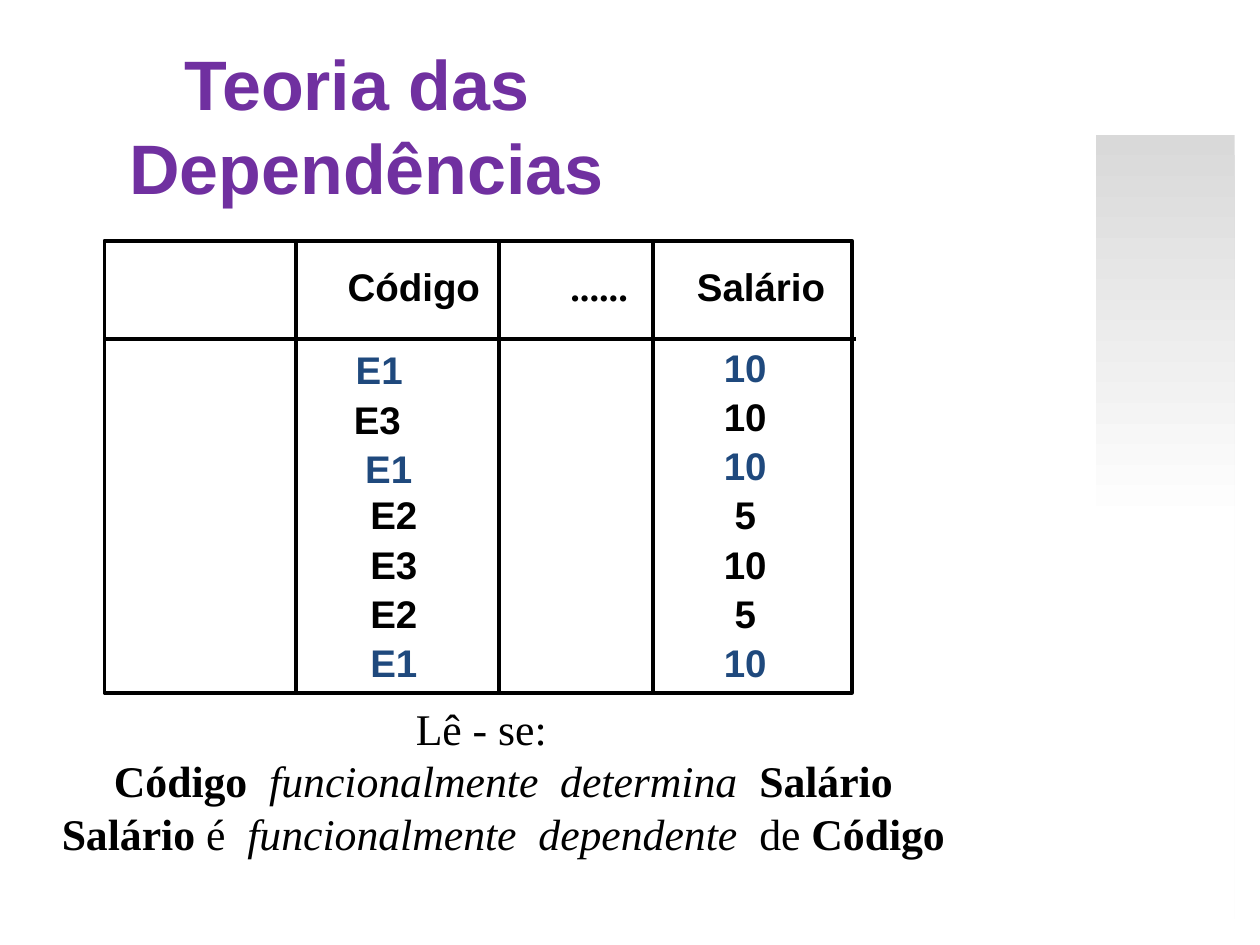
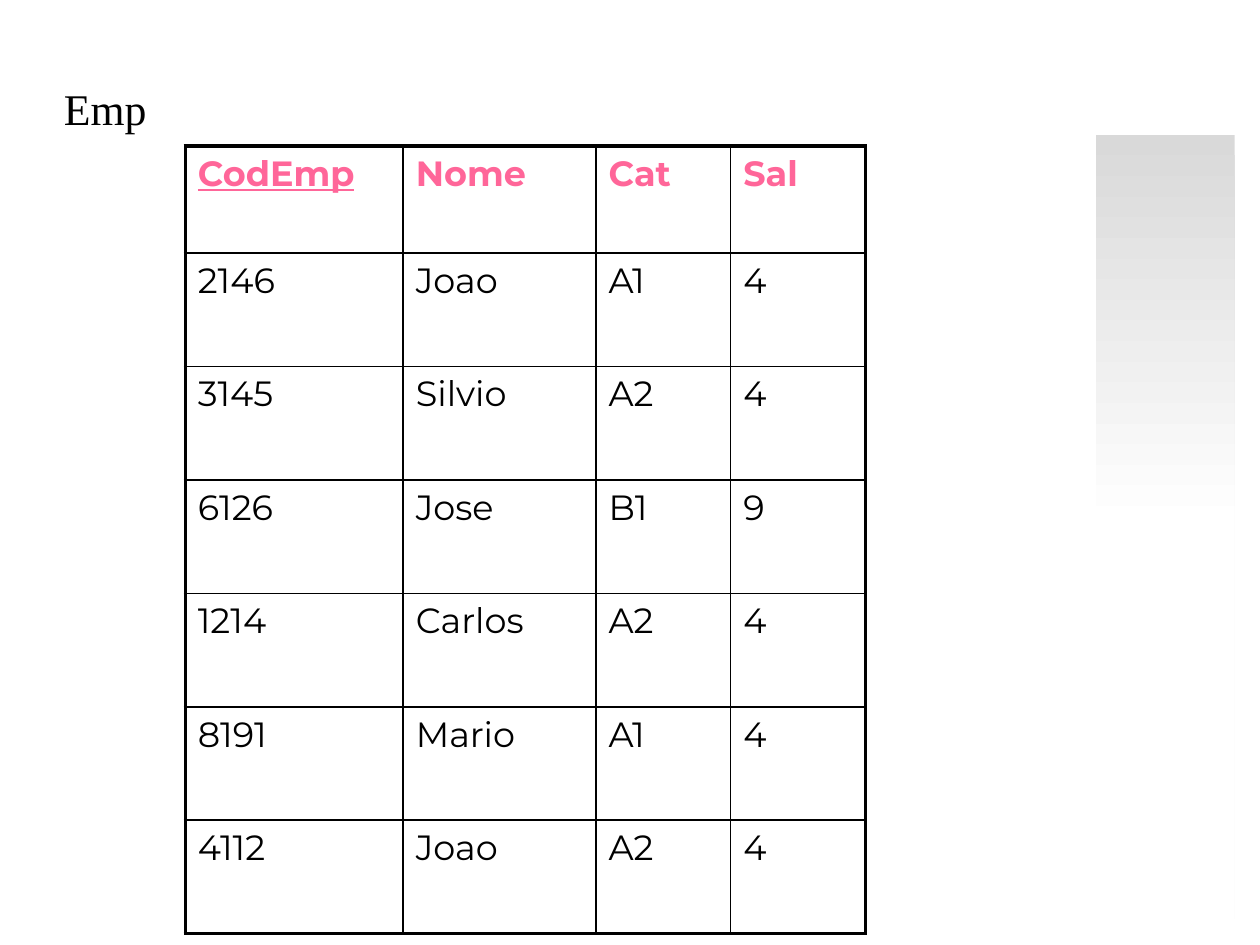
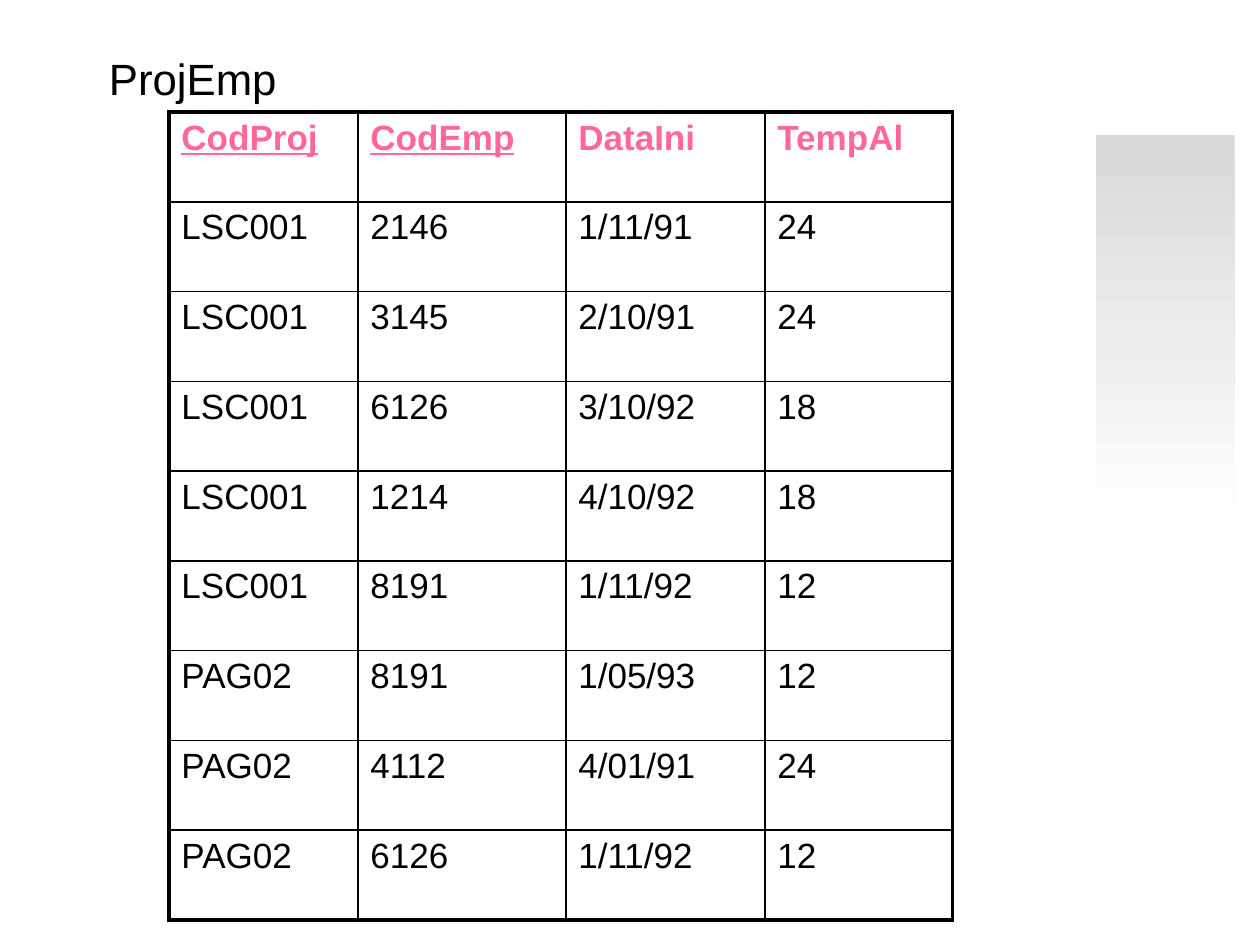
"""Builds three slides on functional dependencies and their example tables."""
import pptx
import pptx.dml.color
import pptx.enum.shapes
import pptx.enum.text
import pptx.oxml
import pptx.oxml.ns
import pptx.util

Inches = pptx.util.Inches
Pt = pptx.util.Pt
CENTER = pptx.enum.text.PP_ALIGN.CENTER

BLACK, WHITE, GRAY = "000000", "FFFFFF", "D9D9D9"
PURPLE, BLUE, PINK = "7030A0", "1F497D", "FF6699"
SANS, SERIF, ROUND = "Arial", "Times New Roman", "Montserrat"
THICK, THIN = 2.25, 1
WIDE_INSETS, TIGHT_INSETS = (0.1, 0.05), (0.07, 0.04)

GRID_LEFT, GRID_TOP, GRID_WIDTH, GRID_HEIGHT = 0.83, 1.91, 5.93, 3.59
GRID_LINES = [
    ((0.83, 2.69), (6.79, 2.69)),
    ((2.35, 1.91), (2.35, 5.52)),
    ((3.96, 1.91), (3.96, 5.52)),
    ((5.18, 1.91), (5.18, 5.52)),
]
GRID_HEADERS = [
    ("Código", 2.61, 1.35, SANS),
    ("......", 4.23, 1.05, SERIF),
    ("Salário", 5.18, 1.72, SANS),
]
HEADER_TOP, FIRST_ROW_TOP, ROW_STEP, LABEL_HEIGHT = 2.05, 2.69, 0.39, 0.44
SALARY_LEFT, SALARY_WIDTH = 5.18, 1.47
HIGHLIGHTED_CODE = "E1"
# code, salary, code left, code width, code drop
GRID_ROWS = [
    ("E1", "10", 2.61, 0.8, 0.02),
    ("E3", "10", 2.61, 0.77, 0.02),
    ("E1", "10", 2.61, 0.95, 0.02),
    ("E2", "5", 2.65, 0.95, 0),
    ("E3", "10", 2.65, 0.95, 0),
    ("E2", "5", 2.65, 0.95, 0),
    ("E1", "10", 2.65, 0.95, 0),
]
READING = [
    [("Lê - se:", "")],
    [("Código  ", "b"), ("funcionalmente  determina  ", "i"), ("Salário", "b")],
    [("Salário", "b"), (" é", ""), ("  funcionalmente  dependente  ", "i"),
     ("de ", ""), ("Código", "b")],
]

TABLE_SLIDES = [
    {
        "name": "Emp", "name_at": (0.4, 0.6, 0.87, 0.53), "name_font": SERIF,
        "at": (1.47, 1.16), "font": ROUND, "keys": 1,
        "widths": [1.73, 1.53, 1.07, 1.07], "heights": [0.85] + [0.9] * 6,
        "rows": [
            ("CodEmp", "Nome", "Cat", "Sal"),
            ("2146", "Joao", "A1", "4"),
            ("3145", "Silvio", "A2", "4"),
            ("6126", "Jose", "B1", "9"),
            ("1214", "Carlos", "A2", "4"),
            ("8191", "Mario", "A1", "4"),
            ("4112", "Joao", "A2", "4"),
        ],
    },
    {
        "name": "ProjEmp", "name_at": (0.75, 0.36, 1.56, 0.53), "name_font": SANS,
        "at": (1.34, 0.89), "font": SANS, "keys": 2,
        "widths": [1.5, 1.65, 1.58, 1.49], "heights": [6.41 / 9] * 9,
        "rows": [
            ("CodProj", "CodEmp", "DataIni", "TempAl"),
            ("LSC001", "2146", "1/11/91", "24"),
            ("LSC001", "3145", "2/10/91", "24"),
            ("LSC001", "6126", "3/10/92", "18"),
            ("LSC001", "1214", "4/10/92", "18"),
            ("LSC001", "8191", "1/11/92", "12"),
            ("PAG02", "8191", "1/05/93", "12"),
            ("PAG02", "4112", "4/01/91", "24"),
            ("PAG02", "6126", "1/11/92", "12"),
        ],
    },
]


def color(value):
    return pptx.dml.color.RGBColor.from_string(value)


def set_font(font, name, size, fill, bold=False):
    font.name, font.size, font.bold = name, Pt(size), bold
    font.color.rgb = color(fill)


def new_page(deck):
    page = deck.slides.add_slide(deck.slide_layouts[6])
    band = page.shapes.add_shape(
        pptx.enum.shapes.MSO_SHAPE.RECTANGLE,
        Inches(8.7), Inches(1.07), Inches(1.1), Inches(6.22))
    band.shadow.inherit = False
    band.line.fill.background()
    band.fill.gradient()
    band.fill.gradient_angle = 270
    for stop, (position, shade) in zip(band.fill.gradient_stops, [(0, GRAY), (0.5, WHITE)]):
        stop.position = position
        stop.color.rgb = color(shade)
    return page


def add_text(page, at, paragraphs, name, size, fill=BLACK, bold=False,
             insets=WIDE_INSETS, wrap=True):
    box = page.shapes.add_textbox(*map(Inches, at))
    frame = box.text_frame
    frame.word_wrap = wrap
    frame.margin_left = frame.margin_right = Inches(insets[0])
    frame.margin_top = frame.margin_bottom = Inches(insets[1])
    for index, text in enumerate(paragraphs):
        para = frame.add_paragraph() if index else frame.paragraphs[0]
        para.text = text
        para.alignment = CENTER
        para.line_spacing = Pt(size * 1.2)
        set_font(para.font, name, size, fill, bold)
    return frame


def add_label(page, text, left, top, width, name=SANS, fill=BLACK):
    add_text(page, (left, top, width, LABEL_HEIGHT), [text], name, 22, fill,
             bold=True, insets=TIGHT_INSETS)


def add_line(page, start, end):
    line = page.shapes.add_connector(
        pptx.enum.shapes.MSO_CONNECTOR.STRAIGHT, *map(Inches, start + end))
    line.line.color.rgb = color(BLACK)
    line.line.width = Pt(THICK)
    line._element.spPr.append(pptx.oxml.parse_xml(
        f"<a:effectLst {pptx.oxml.ns.nsdecls('a')}/>"))


def add_reading(page):
    frame = add_text(page, (0, 5.52, 7.64, 1.81), [""] * len(READING), SERIF, 25)
    for index, (para, spans) in enumerate(zip(frame.paragraphs, READING)):
        if index:
            para.level = 1
            properties = para._p.get_or_add_pPr()
            properties.set("marL", str(Inches(0.35)))
            properties.set("indent", "0")
        for text, style in spans:
            span = para.add_run()
            span.text = text
            set_font(span.font, SERIF, 25, BLACK, style == "b")
            span.font.italic = style == "i"


def build_dependency_page(deck):
    page = new_page(deck)
    add_text(page, (-1.07, 0.27, 7.96, 1.25), ["Teoria das \vDependências"],
             SANS, 40, PURPLE, bold=True)
    frame = page.shapes.add_shape(
        pptx.enum.shapes.MSO_SHAPE.RECTANGLE,
        *map(Inches, (GRID_LEFT, GRID_TOP, GRID_WIDTH, GRID_HEIGHT)))
    frame.shadow.inherit = False
    frame.fill.background()
    frame.line.color.rgb = color(BLACK)
    frame.line.width = Pt(THICK)
    for start, end in GRID_LINES:
        add_line(page, start, end)
    for text, left, width, name in GRID_HEADERS:
        add_label(page, text, left, HEADER_TOP, width, name)
    for index, (code, salary, left, width, drop) in enumerate(GRID_ROWS):
        top = FIRST_ROW_TOP + index * ROW_STEP
        fill = BLUE if code == HIGHLIGHTED_CODE else BLACK
        add_label(page, code, left, top + drop, width, fill=fill)
        add_label(page, salary, SALARY_LEFT, top, SALARY_WIDTH, fill=fill)
    add_reading(page)


def set_borders(cell, outer_sides):
    properties = cell._tc.get_or_add_tcPr()
    for side in "LRTB":
        width = Pt(THICK if side in outer_sides else THIN)
        properties.append(pptx.oxml.parse_xml(
            f'<a:ln{side} {pptx.oxml.ns.nsdecls("a")} w="{width}"><a:solidFill>'
            f'<a:srgbClr val="{BLACK}"/></a:solidFill></a:ln{side}>'))


def build_table_page(deck, content):
    page = new_page(deck)
    rows, widths, heights = content["rows"], content["widths"], content["heights"]
    last_row, last_column = len(rows) - 1, len(widths) - 1
    table = page.shapes.add_table(
        len(rows), len(widths),
        *map(Inches, content["at"] + (sum(widths), sum(heights)))).table
    table.first_row = table.horz_banding = False
    for column, width in zip(table.columns, widths):
        column.width = Inches(width)
    for row, height in zip(table.rows, heights):
        row.height = Inches(height)
    for r, values in enumerate(rows):
        for c, text in enumerate(values):
            cell = table.cell(r, c)
            edges = {"L": c == 0, "R": c == last_column, "T": r == 0, "B": r == last_row}
            set_borders(cell, [side for side, outer in edges.items() if outer])
            cell.fill.background()
            cell.text = text
            font = cell.text_frame.paragraphs[0].font
            header = r == 0
            set_font(font, content["font"], 20, PINK if header else BLACK, header)
            font.underline = header and c < content["keys"]
    add_text(page, content["name_at"], [content["name"]], content["name_font"], 25, wrap=False)


def main():
    deck = pptx.Presentation()
    deck.slide_width, deck.slide_height = Inches(10), Inches(7.5)
    build_dependency_page(deck)
    for content in TABLE_SLIDES:
        build_table_page(deck, content)
    deck.save("out.pptx")


if __name__ == "__main__":
    main()
